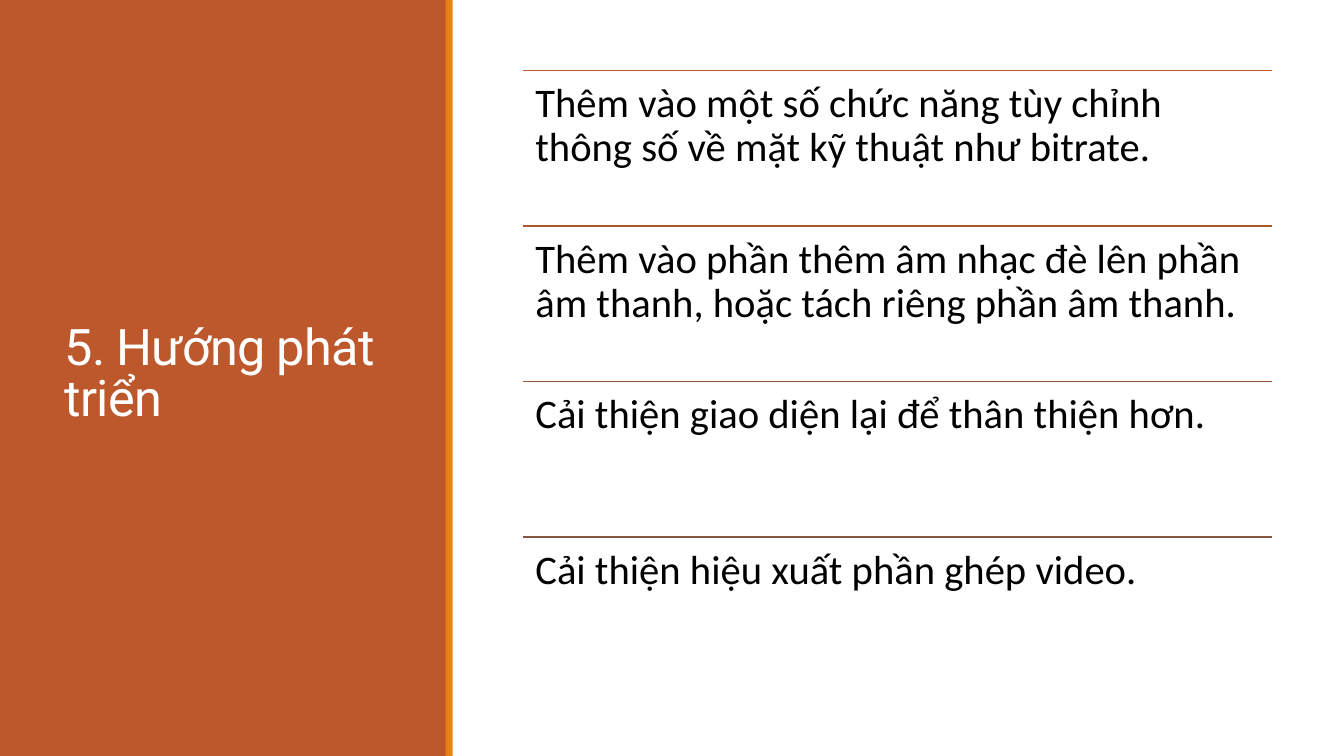
from pptx import Presentation
from pptx.dml.color import RGBColor
from pptx.enum.shapes import MSO_CONNECTOR, MSO_SHAPE
from pptx.enum.text import MSO_ANCHOR, PP_ALIGN
from pptx.oxml.ns import qn
from pptx.util import Inches, Pt
from lxml.etree import SubElement

# Content
HEADING = "5. Hướng phát triển"
PLANS = [  # text, rule colour
    ("Thêm vào một số chức năng tùy chỉnh thông số về mặt kỹ thuật như bitrate.", "BD582C"),
    ("Thêm vào phần thêm âm nhạc đè lên phần âm thanh, hoặc tách riêng phần âm thanh.", "AA5834"),
    ("Cải thiện giao diện lại để thân thiện hơn.", "97573A"),
    ("Cải thiện hiệu xuất phần ghép video.", "865640"),
]
BANDS = [  # left, width, colour
    (0, 4.43, "BD582C"),
    (4.42, 0.07, "E48312"),
]

# Layout, in inches
SLIDE_W, SLIDE_H = 13.33, 7.5
PLANS_LEFT, PLANS_TOP, PLANS_W, PLANS_H = 5.19, 0.7, 7.43, 6.17
ROW_H = PLANS_H / len(PLANS)
INSET = Inches(0.12)


def color(hex_code):
    return RGBColor.from_string(hex_code)


def style_run(run, font_name, size, hex_code):
    run.font.name = font_name
    run.font.size = Pt(size)
    run.font.color.rgb = color(hex_code)


def add_band(slide, left, width, hex_code):
    band = slide.shapes.add_shape(
        MSO_SHAPE.RECTANGLE, Inches(left), 0, Inches(width), Inches(SLIDE_H))
    band.shadow.inherit = False
    band.fill.solid()
    band.fill.fore_color.rgb = color(hex_code)
    band.line.fill.background()
    return band


def add_rule(slide, top, hex_code):
    rule = slide.shapes.add_connector(
        MSO_CONNECTOR.STRAIGHT, Inches(PLANS_LEFT), Inches(top),
        Inches(PLANS_LEFT + PLANS_W), Inches(top))
    rule.line.color.rgb = color(hex_code)
    rule.line.width = Pt(1.25)
    SubElement(rule._element.spPr, qn("a:effectLst"))


def add_plan(slide, top, text):
    plan = slide.shapes.add_textbox(
        Inches(PLANS_LEFT), Inches(top), Inches(PLANS_W), Inches(ROW_H))
    frame = plan.text_frame
    frame.word_wrap = True
    frame.margin_left = frame.margin_right = INSET
    frame.margin_top = frame.margin_bottom = INSET
    frame.text = text
    paragraph = frame.paragraphs[0]
    paragraph.line_spacing = 0.9
    style_run(paragraph.runs[0], "Calibri", 29, "000000")


def main():
    prs = Presentation()
    prs.slide_width, prs.slide_height = Inches(SLIDE_W), Inches(SLIDE_H)
    slide = prs.slides.add_slide(prs.slide_layouts[5])
    slide.background.fill.solid()
    slide.background.fill.fore_color.rgb = color("FFFFFF")

    # Title on the left panel
    title = slide.shapes.title
    title.left, title.top = Inches(0.54), Inches(0.57)
    title.width, title.height = Inches(3.37), Inches(6.31)
    title.text_frame.text = HEADING
    title.text_frame.word_wrap = True
    title.text_frame.vertical_anchor = MSO_ANCHOR.MIDDLE
    heading = title.text_frame.paragraphs[0]
    heading.alignment = PP_ALIGN.LEFT
    heading.line_spacing = 0.85
    style_run(heading.runs[0], "Roboto", 36, "FFFFFF")
    heading.runs[0].font._element.set("spc", "-50")

    # Coloured bands, placed behind the title
    for left, width, hex_code in BANDS:
        band = add_band(slide, left, width, hex_code)
        title._element.addprevious(band._element)

    # Plans, each under its own rule
    for row, (text, hex_code) in enumerate(PLANS):
        top = PLANS_TOP + row * ROW_H
        add_rule(slide, top, hex_code)
        add_plan(slide, top, text)

    prs.save("out.pptx")


if __name__ == "__main__":
    main()
